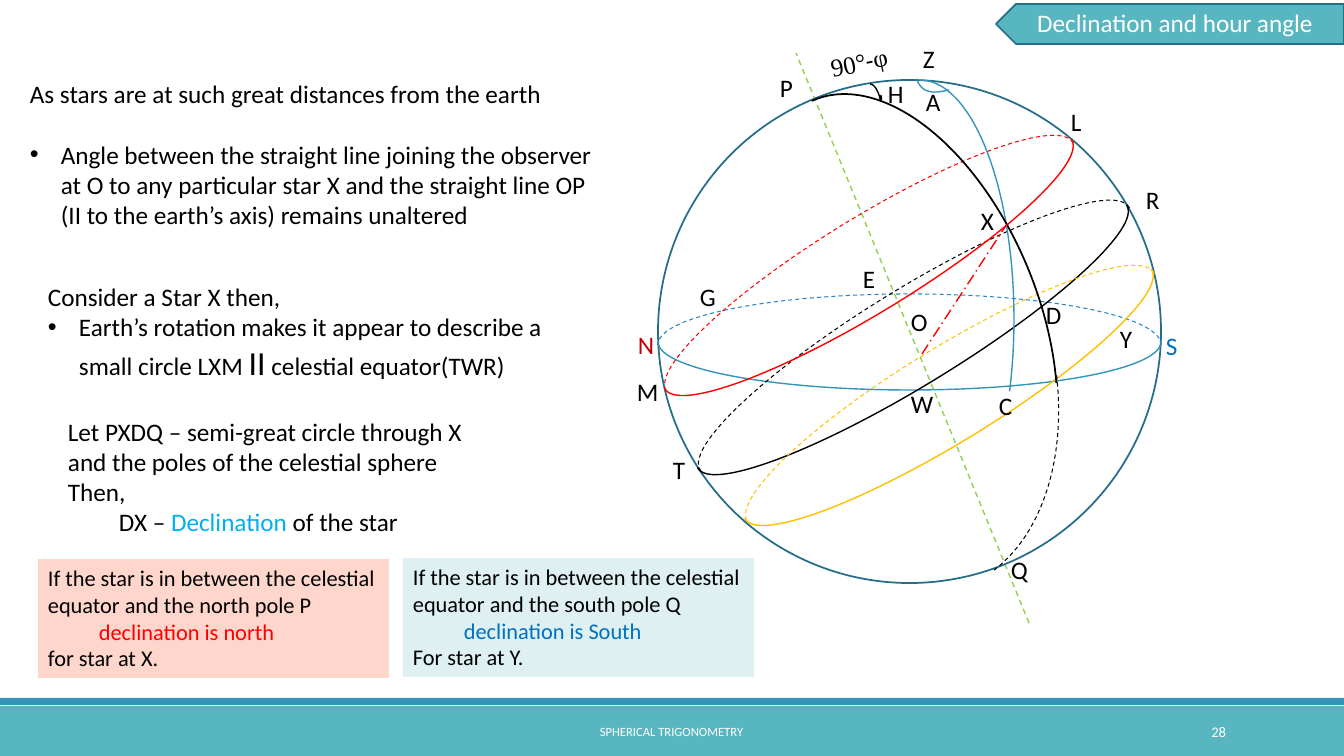
from lxml import etree
from pptx import Presentation
from pptx.dml.color import RGBColor as RGB
from pptx.enum.dml import MSO_LINE as DASH
from pptx.enum.shapes import MSO_CONNECTOR as CONN, MSO_SHAPE as SHAPE
from pptx.enum.text import MSO_ANCHOR as ANCHOR, PP_ALIGN as ALIGN
from pptx.oxml.ns import qn
from pptx.util import Emu, Pt

PX = 914400 / 100.8
BLACK, WHITE = RGB(0, 0, 0), RGB(255, 255, 255)
TEAL, BLUE, NAVY = RGB(0x58, 0xB6, 0xC0), RGB(0x34, 0x94, 0xBA), RGB(0x26, 0x6D, 0x8A)
PALE_TEAL, ORANGE = RGB(0xDE, 0xF0, 0xF2), RGB(0xFF, 0x33, 0)
RED, DARK_RED, GOLD = RGB(255, 0, 0), RGB(0xC0, 0, 0), RGB(0xFF, 0xC0, 0)
GREEN, SKY = RGB(0x92, 0xD0, 0x50), RGB(0, 0xB0, 0xF0)
SOUTH_BLUE, BACK_BLUE = RGB(0, 0x70, 0xC0), RGB(0x26, 0x83, 0xC6)
LOWER_HALF = (215.852, 108.149)


def px(n):
    return Emu(round(n * PX))


class Sketch:
    font = "Calibri"

    def __init__(self, slide):
        self.shapes = slide.shapes

    def stroke(self, line, color, width, dash=None):
        line.color.rgb = color
        line.width = Pt(width)
        if dash:
            line.dash_style = dash

    def shape(self, kind, box, fill=None, line=None, width=1, dash=None, alpha=None):
        sp = self.shapes.add_shape(kind, *map(px, box))
        sp.shadow.inherit = False
        if fill is None:
            sp.fill.background()
        else:
            sp.fill.solid()
            sp.fill.fore_color.rgb = fill
            if alpha:
                clr = sp._element.spPr.find(qn("a:solidFill"))[0]
                etree.SubElement(clr, qn("a:alpha")).set("val", str(alpha * 1000))
        if line is None:
            sp.line.fill.background()
        else:
            self.stroke(sp.line, line, width, dash)
        return sp

    def arc(self, box, color, angles, rot=0, width=1, dash=None, flip=False):
        sp = self.shape(SHAPE.ARC, box, line=color, width=width, dash=dash)
        sp.adjustments[0], sp.adjustments[1] = angles
        sp.rotation = rot
        if flip:
            sp._element.spPr.xfrm.set("flipV", "1")

    def circle(self, front, back, color, rot=0, back_color=None):
        """A circle on the sphere: solid near half, dashed far half."""
        self.arc(front, color, LOWER_HALF, rot)
        self.arc(back, back_color or color, LOWER_HALF, rot, 0.75, DASH.DASH, True)

    def line(self, start, end, color, dash):
        cx = self.shapes.add_connector(CONN.STRAIGHT, *map(px, start + end))
        self.stroke(cx.line, color, 1, dash)
        etree.SubElement(cx._element.spPr, qn("a:effectLst"))

    def curve(self, start, segments, color, steps=8):
        """An open outline through cubic segments (two controls and an end)."""
        points, p0 = [], start
        for c1, c2, p3 in segments:
            for t in (i / steps for i in range(1, steps + 1)):
                weights = ((1 - t) ** 3, 3 * t * (1 - t) ** 2, 3 * t * t * (1 - t), t ** 3)
                points.append(tuple(sum(w * pt[k] for w, pt in zip(weights, (p0, c1, c2, p3)))
                                    for k in (0, 1)))
            p0 = p3
        # Tenths of a px keep the small marks smooth
        fb = self.shapes.build_freeform(start[0] * 10, start[1] * 10, scale=PX / 10)
        fb.add_line_segments([(round(x * 10), round(y * 10)) for x, y in points], close=False)
        sp = fb.convert_to_shape()
        sp.shadow.inherit = False
        sp.fill.background()
        self.stroke(sp.line, color, 1)

    def fill_text(self, sp, paras, size=18, color=BLACK, align=ALIGN.LEFT, anchor=ANCHOR.TOP):
        """Each paragraph is (runs, options); a run is (text, overrides)."""
        tf = sp.text_frame
        tf.word_wrap = True
        tf.vertical_anchor = anchor
        for i, (runs, opts) in enumerate(paras):
            p = tf.paragraphs[0] if i == 0 else tf.add_paragraph()
            p.alignment = align
            if "before" in opts:
                p.space_before = Pt(opts["before"])
            pPr = p._p.get_or_add_pPr()
            if "indent" in opts:
                pPr.set("marL", str(px(opts["indent"])))
            if opts.get("bullet"):
                pPr.set("indent", str(-px(opts["indent"])))
                etree.SubElement(pPr, qn("a:buFont")).set("typeface", "Arial")
                etree.SubElement(pPr, qn("a:buChar")).set("char", "•")
            for text, style in runs:
                r = p.add_run()
                r.text = text
                r.font.name = style.get("font", self.font)
                r.font.size = Pt(style.get("size", size))
                r.font.color.rgb = style.get("color", color)
        return sp

    def text(self, box, paras, **style):
        return self.fill_text(self.shapes.add_textbox(*map(px, box)), paras, **style)

    def label(self, box, words, **style):
        return self.text(box, [para(words)], **style)


def para(*runs, **opts):
    return [(r, {}) if isinstance(r, str) else r for r in runs], opts


prs = Presentation()
prs.slide_width, prs.slide_height = px(1344), px(756)
s = Sketch(prs.slides.add_slide(prs.slide_layouts[6]))

# Footer
s.shape(SHAPE.RECTANGLE, (0, 706, 1344, 50), TEAL)
s.shape(SHAPE.RECTANGLE, (0, 698, 1344, 7), BLUE)
s.label((406, 712, 531, 40), "SPHERICAL TRIGONOMETRY", size=9, color=WHITE,
        align=ALIGN.CENTER, anchor=ANCHOR.MIDDLE)
s.label((1092, 712, 144, 40), "28", size=10.5, color=WHITE,
        align=ALIGN.RIGHT, anchor=ANCHOR.MIDDLE)

# Title tag
tag = s.shape(SHAPE.PENTAGON, (996, 4, 348, 40), TEAL, NAVY, 1.25)
tag._element.spPr.xfrm.set("flipH", "1")
s.label((1005, 2, 340, 40), "Declination and hour angle", color=WHITE, align=ALIGN.CENTER)

# Celestial sphere and its axis
s.line((1029, 623), (796, 53), GREEN, DASH.DASH)
s.shape(SHAPE.OVAL, (658, 80, 503, 503), line=NAVY, width=1.25)

# Horizon, then the equator and the small circles parallel to it
TILT = 328.5
s.circle((658, 294, 503, 96), (658, 294, 503, 101), BLUE, back_color=BACK_BLUE)
s.circle((661, 289, 503, 96), (663, 288, 503, 101), BLACK, TILT)
s.circle((630, 217, 477, 95), (631, 217, 477, 100), RED, TILT)
s.circle((710, 347, 477, 95), (712, 347, 477, 100), GOLD, TILT)

# Vertical circle ZXC and hour circle PXDQ
s.arc((826, 80, 188, 478), BLUE, (162, 23.342))
s.arc((771, 82, 267, 474), BLACK, (161.626, 27.171), 337.6, 1.25)
s.arc((727, 123, 324, 476), BLACK, (13.067, 48.306), 343.1, 0.75, DASH.DASH)
s.line((922, 354), (1007, 224), RED, DASH.LONG_DASH_DOT)

# Angle marks at P and Z
s.curve((870, 84), [((871, 84), (873, 85), (874, 86)),
                    ((876, 88), (878, 92), (879, 95)),
                    ((880, 97), (880, 101), (881, 100)),
                    ((882, 99), (881, 96), (881, 95))], BLACK)
s.curve((916, 79), [((919, 84), (922, 90), (928, 91)),
                    ((933, 93), (941, 92), (949, 90))], BLUE)

# Point labels: name, left, top, width
POINTS = [("Z", 913, 38, 32), ("P", 770, 67, 37), ("C", 989, 385, 31), ("D", 1036, 294, 31),
          ("Y", 1110, 318, 26), ("N", 628, 324, 41), ("M", 627, 371, 41), ("T", 663, 449, 40),
          ("W", 901, 383, 31), ("O", 901, 301, 42), ("E", 853, 258, 40), ("X", 971, 200, 48),
          ("S", 1156, 325, 41), ("G", 690, 276, 40), ("H", 878, 73, 29), ("A", 916, 81, 35),
          ("L", 1061, 101, 114), ("R", 1136, 179, 21), ("Q", 1001, 549, 46)]
POINT_COLORS = {"N": DARK_RED, "S": SOUTH_BLUE}
for name, x, y, w in POINTS:
    s.label((x, y, w, 40), name, color=POINT_COLORS.get(name, BLACK))
TIMES = {"font": "Times New Roman"}
colatitude = s.text((820, 40, 96, 40), [para(("90°", TIMES), "-", ("φ", TIMES))])
colatitude.rotation = 348.1

# Explanation
s.text((20, 73, 594, 194), [
    para("As stars are at such great distances from the earth"),
    para("Angle between the straight line joining the observer at O to any particular star X "
         "and the straight line OP (II to the earth’s axis) remains unaltered",
         bullet=True, indent=31, before=22)])
s.text((38, 276, 525, 112), [
    para("Consider a Star X then,"),
    para("Earth’s rotation makes it appear to describe a small circle LXM ",
         ("II", {"size": 24}), " celestial equator(TWR)", bullet=True, indent=31)])
s.text((58, 411, 436, 132), [
    para("Let PXDQ – semi-great circle through X and the poles of the celestial sphere"),
    para("Then,"),
    para("DX – ", ("Declination", {"color": SKY}), " of the star", indent=51)])

# Sign of the declination
RULES = [((38, 559, 351, 119), ORANGE, 20, "north pole P", "north", RED, "for star at X."),
         ((403, 558, 351, 119), PALE_TEAL, None, "south pole Q", "South", SOUTH_BLUE,
          "For star at Y.")]
for box, fill, alpha, pole, sign, color, star in RULES:
    s.fill_text(s.shape(SHAPE.RECTANGLE, box, fill, alpha=alpha), [
        para(f"If the star is in between the celestial equator and the {pole}"),
        para((f"declination is {sign}", {"color": color}), indent=51),
        para(star)], size=16)

prs.save("out.pptx")
